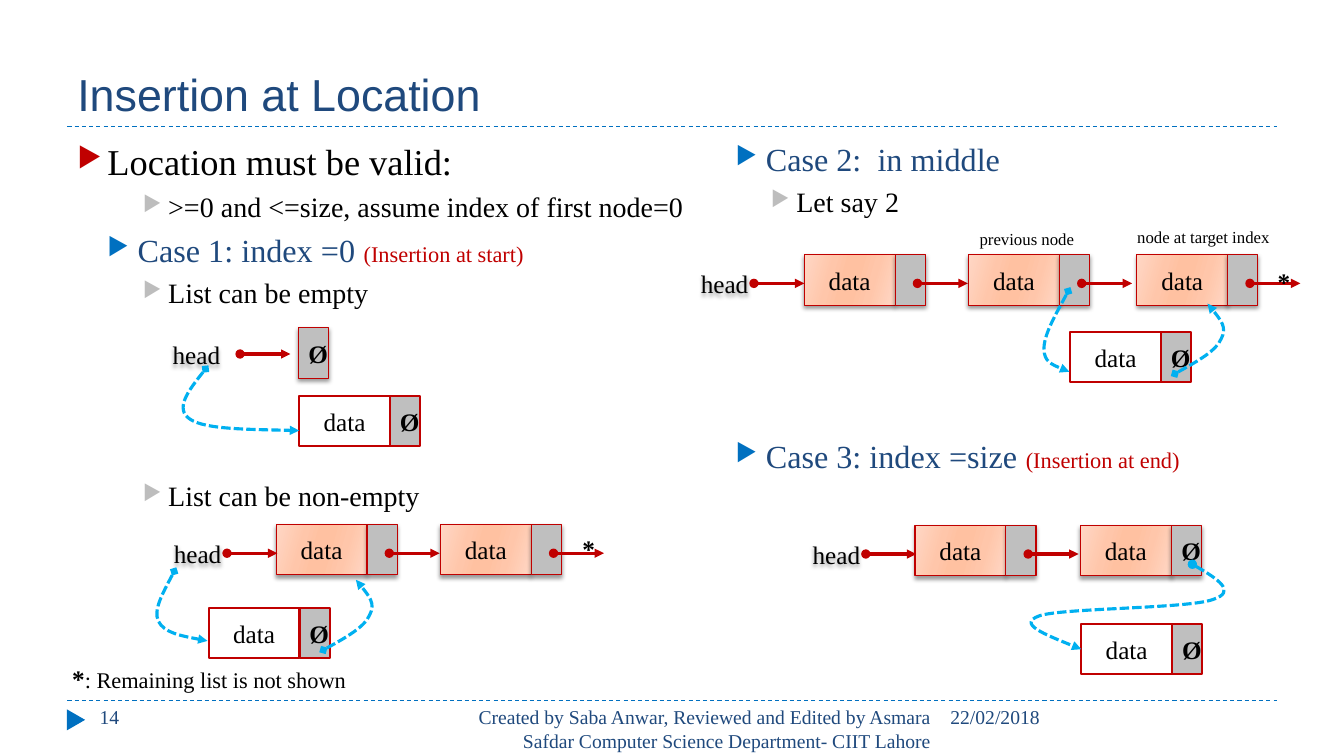
from lxml.etree import SubElement
from pptx import Presentation
from pptx.dml.color import RGBColor
from pptx.enum.dml import MSO_LINE_DASH_STYLE as Dash
from pptx.enum.shapes import MSO_CONNECTOR as Conn, MSO_SHAPE as Shape
from pptx.enum.text import MSO_ANCHOR as Anchor, PP_ALIGN as Align
from pptx.oxml.ns import qn
from pptx.util import Cm, Pt

RED, BLUE, NAVY, SKY = "C00000", "0070C0", "1F497D", "00B0F0"
BLACK, WHITE, GRAY, SILVER = "000000", "FFFFFF", "BFBFBF", "BDBDBD"
PEACH = [(0, "FFD7C5"), (30, "FFC6AA"), (45, "FFC1A1"),
         (55, "FFC1A1"), (73, "FFC6AA"), (100, "FFD7C5")]
LEVELS = [(0.76, 0.76, RED), (1.52, 0.76, BLUE), (2.29, 0.64, SILVER)]
DATA_W, LINK_W, NODE_H = 2.29, 0.76, 1.27


def rgb(value):
    return RGBColor.from_string(value)


def add_xml(parent, tag, **attrs):
    child = SubElement(parent, qn(tag))
    for name, value in attrs.items():
        child.set(name, str(value))
    return child


class Slide:
    font = "Times New Roman"

    def __init__(self, prs):
        self.s = prs.slides.add_slide(prs.slide_layouts[6])

    def add_runs(self, p, runs, font=None):
        for text, size, color, bold in runs:
            r = p.add_run()
            r.text = text
            r.font.name = font or self.font
            r.font.size = Pt(size)
            r.font.bold = bold
            r.font.color.rgb = rgb(color)

    def text(self, x, y, w, h, *runs, align=Align.LEFT, anchor=Anchor.TOP, font=None):
        sp = self.s.shapes.add_textbox(Cm(x), Cm(y), Cm(w), Cm(h))
        tf = sp.text_frame
        tf.word_wrap = True
        tf.vertical_anchor = anchor
        tf.paragraphs[0].alignment = align
        self.add_runs(tf.paragraphs[0], runs, font)
        return sp

    def label(self, x, y, w, text, size):
        return self.text(x, y, w, 0.76, (text, size, BLACK, False),
                         align=Align.CENTER, anchor=Anchor.MIDDLE)

    def outline(self, x, y, w, h, items):
        tf = self.text(x, y, w, h).text_frame
        for i, (level, before, runs) in enumerate(items):
            p = tf.paragraphs[0] if i == 0 else tf.add_paragraph()
            indent, hang, color = LEVELS[level]
            p.level = level
            p.space_before = Pt(before)
            pPr = p._p.get_or_add_pPr()
            pPr.set("marL", str(Cm(indent)))
            pPr.set("indent", str(-Cm(hang)))
            add_xml(add_xml(pPr, "a:buClr"), "a:srgbClr", val=color)
            add_xml(pPr, "a:buSzPct", val=76000)
            add_xml(pPr, "a:buChar", char="▶")
            self.add_runs(p, runs)

    def shadow(self, sp):
        effects = add_xml(sp.element.spPr, "a:effectLst")
        shadow = add_xml(effects, "a:outerShdw", blurRad=Pt(3), dist=Pt(2),
                         dir=5400000, rotWithShape=0)
        add_xml(add_xml(shadow, "a:srgbClr", val=BLACK), "a:alpha", val=40000)

    def line(self, x1, y1, x2, y2, color, width):
        c = self.s.shapes.add_connector(Conn.STRAIGHT, Cm(x1), Cm(y1), Cm(x2), Cm(y2))
        c.line.color.rgb = rgb(color)
        c.line.width = Pt(width)
        add_xml(c.element.spPr, "a:effectLst")
        return c

    def rule(self, y):
        self.line(1.7, y, 32.18, y, BLUE, 0.75).line.dash_style = Dash.DASH

    def ends(self, sp, head):
        ln = sp.element.spPr.find(qn("a:ln"))
        add_xml(ln, "a:headEnd", type=head)
        add_xml(ln, "a:tailEnd", type="triangle")

    def arrow(self, x, y):
        self.ends(self.line(x, y, x + 1.27, y, RED, 2.25), "oval")

    def curve(self, points, head="diamond"):
        emu = [(Cm(x), Cm(y)) for x, y in points]
        builder = self.s.shapes.build_freeform(*emu[0])
        builder.add_line_segments(emu[1:], close=False)
        sp = builder.convert_to_shape()
        sp.shadow.inherit = False
        sp.fill.background()
        sp.line.color.rgb = rgb(SKY)
        sp.line.width = Pt(2.25)
        sp.line.dash_style = Dash.SQUARE_DOT
        self.ends(sp, head)
        outline = sp.element.find(".//" + qn("a:path"))
        steps = outline.findall(qn("a:lnTo"))
        for i in range(0, len(steps), 3):
            bezier = add_xml(outline, "a:cubicBezTo")
            for step in steps[i:i + 3]:
                bezier.append(step[0])
                outline.remove(step)

    def cell(self, x, y, w, fill, text="", new=False):
        sp = self.s.shapes.add_shape(Shape.RECTANGLE, Cm(x), Cm(y), Cm(w), Cm(NODE_H))
        if fill == PEACH:
            sp.fill.gradient()
            sp.fill.gradient_angle = 344
            stops = sp.element.find(".//" + qn("a:gsLst"))
            stops.clear()
            for pos, color in PEACH:
                add_xml(add_xml(stops, "a:gs", pos=pos * 1000), "a:srgbClr", val=color)
        else:
            sp.fill.solid()
            sp.fill.fore_color.rgb = rgb(fill)
        sp.line.color.rgb = rgb(RED)
        sp.line.width = Pt(1.5 if new else 0.75)
        if new:
            sp.shadow.inherit = False
        else:
            self.shadow(sp)
        if text:
            tf = sp.text_frame
            tf.vertical_anchor = Anchor.MIDDLE
            tf.paragraphs[0].alignment = Align.CENTER
            self.add_runs(tf.paragraphs[0], [(text, 18, BLACK, text == "Ø")])

    def node(self, x, y, link="", new=False):
        self.cell(x, y, DATA_W, WHITE if new else PEACH, "data", new)
        self.cell(x + DATA_W, y, LINK_W, GRAY, link, new)

    def head(self, x, y):
        self.shadow(self.label(x, y, 1.78, "head", 18))

    def chain(self, x, y, nodes, ends_null=False):
        self.head(x, y + 0.34)
        for node_x in nodes:
            last = ends_null and node_x == nodes[-1]
            self.node(node_x, y, "Ø" if last else "")
            if not last:
                self.arrow(node_x + 2.85, y + 0.72)
        self.arrow(x + 1.63, y + 0.72)

    def triangle(self, x, y, w, h):
        sp = self.s.shapes.add_shape(Shape.ISOSCELES_TRIANGLE, Cm(x), Cm(y), Cm(w), Cm(h))
        sp.rotation = 90
        sp.shadow.inherit = False
        sp.fill.solid()
        sp.fill.fore_color.rgb = rgb(BLUE)
        sp.line.fill.background()


def main():
    prs = Presentation()
    prs.slide_width, prs.slide_height = Cm(33.87), Cm(19.05)
    s = Slide(prs)

    s.rule(17.65)
    s.rule(3.18)
    s.triangle(1.65, 17.91, 0.53, 0.46)
    s.text(1.7, 0.43, 30.48, 2.74, ("Insertion at Location", 32, NAVY, False),
           anchor=Anchor.BOTTOM, font="Arial")
    s.text(23.7, 17.65, 8.48, 1.02, ("22/02/2018", 14, NAVY, False))
    s.text(10.74, 17.65, 12.98, 1.02,
           ("Created by Saba Anwar, Reviewed and Edited by Asmara Safdar "
            "Computer Science Department- CIIT Lahore", 14, NAVY, False), align=Align.RIGHT)
    s.text(2.26, 17.65, 7.34, 1.02, ("14", 14, NAVY, False))

    s.outline(1.7, 3.38, 15.82, 13.72, [
        (0, 0, [("Location must be valid:", 26, BLACK, False)]),
        (2, 5, [(">=0 and <=size, assume index of first node=0", 20, BLACK, False)]),
        (1, 5, [("Case 1: index =0 ", 23, NAVY, False),
                ("(Insertion at start)", 16, RED, False)]),
        (2, 5, [("List can be empty", 20, BLACK, False)]),
        (2, 121, [("List can be non-empty", 20, BLACK, False)]),
    ])
    s.outline(17.53, 3.38, 14.63, 13.72, [
        (1, 0, [("Case 2:  in middle", 23, NAVY, False)]),
        (2, 5, [("Let say 2", 20, BLACK, False)]),
        (1, 156, [("Case 3: index =size ", 23, NAVY, False),
                  ("(Insertion at end)", 16, RED, False)]),
    ])

    s.head(4.06, 8.56)
    s.arrow(6.05, 8.92)
    s.cell(7.52, 8.26, LINK_W, GRAY, "Ø")
    s.chain(4.09, 13.22, [6.96, 11.1])
    s.chain(17.37, 6.42, [20.27, 24.41, 28.65])
    s.chain(20.19, 13.24, [23.06, 27.23], ends_null=True)
    for x, y in [(7.54, 9.98), (5.26, 15.32), (26.97, 8.36), (27.25, 15.72)]:
        s.node(x, y, "Ø", new=True)

    s.curve([(5.18, 9.3), (4.78, 9.8), (4.39, 10.31), (4.8, 10.57),
             (5.18, 10.82), (6.38, 10.82), (7.54, 10.85)])
    s.curve([(4.39, 14.4), (4.14, 14.88), (3.86, 15.37), (3.99, 15.65),
             (4.14, 15.95), (4.7, 16.05), (5.23, 16.15)])
    s.curve([(26.92, 7.34), (26.62, 7.9), (26.31, 8.43), (26.31, 8.79),
             (26.31, 9.12), (26.64, 9.25), (26.95, 9.37)])
    next_link = [(8.15, 16.38), (8.69, 16.08), (9.19, 15.8), (9.32, 15.49),
                 (9.47, 15.21), (9.22, 14.91), (8.97, 14.61)]
    for dx, dy in [(0, 0), (21.46, -6.96)]:
        s.curve([(x + dx, y + dy) for x, y in next_link])
    s.curve([(30.05, 14.22), (30.63, 14.55), (31.19, 14.91), (30.56, 15.11),
             (29.92, 15.34), (26.75, 15.32), (26.19, 15.52),
             (25.63, 15.72), (26.44, 16.03), (27.25, 16.36)], head="oval")

    s.label(28.3, 5.6, 4.06, "node at target index", 12)
    s.label(24.1, 5.63, 3.56, "previous node", 12)
    star = ("*", 18, BLACK, True)
    s.text(31.95, 6.58, 0.84, 1.02, star)
    s.text(14.43, 13.31, 0.84, 1.02, star)
    s.text(1.57, 16.59, 8, 1.02, star, (": Remaining list is not shown", 16, BLACK, False))
    prs.save("out.pptx")


if __name__ == "__main__":
    main()
